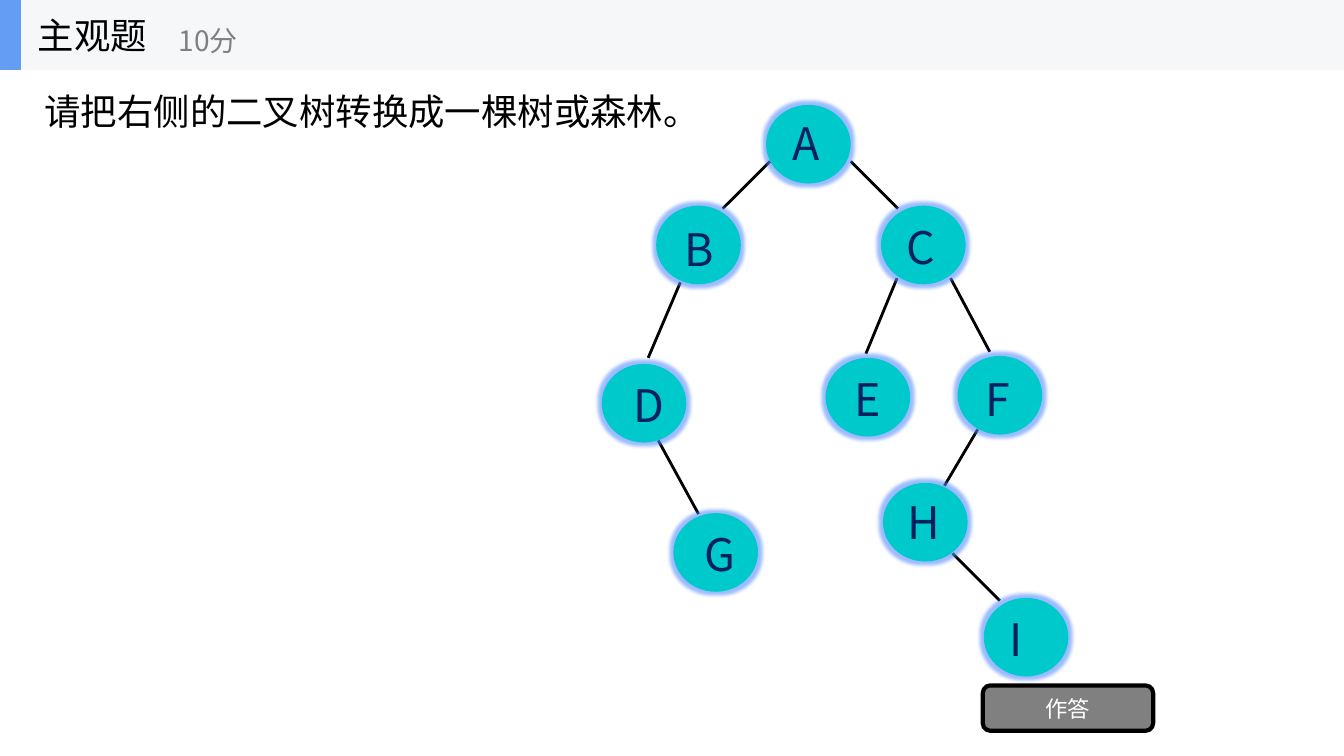
import pptx
import pptx.util
import pptx.dml.color
import pptx.enum.shapes
import pptx.enum.text
import pptx.oxml.ns
from lxml import etree

Pt = pptx.util.Pt
SHAPE = pptx.enum.shapes.MSO_SHAPE
ANCHOR = pptx.enum.text.MSO_ANCHOR
ALIGN = pptx.enum.text.PP_ALIGN
qn = pptx.oxml.ns.qn

FONT = "Noto Sans CJK SC"
QUESTION = "请把右侧的二叉树转换成一棵树或森林。"
HEADING = "主观题"
SCORE = "10分"
ANSWER = "作答"

NODE_W, NODE_H = 60.5, 56.2
NODES = {
    "A": ((547.2, 74.9), (11.5, 4.3)),
    "B": ((468.7, 146.9), (13, 7.9)),
    "C": ((629.3, 146.9), (11.5, 6.5)),
    "D": ((429.8, 259.9), (15.8, 6.5)),
    "E": ((589.7, 255.6), (13.7, 6.5)),
    "F": ((684, 254.2), (13, 7.9)),
    "G": ((481, 366.5), (15.1, 6.5)),
    "H": ((630.7, 344.9), (10.8, 5)),
    "I": ((702.7, 427), (11.5, 6.5)),
}
EDGES = [
    (550.1, 115.2, 516.2, 149),
    (607.7, 115.2, 641.5, 149),
    (486, 201.6, 463, 255.6),
    (640.8, 198.7, 618.5, 252.7),
    (679, 198.7, 707, 251.3),
    (470.2, 314.6, 499, 367.2),
    (698.4, 306.7, 674.6, 347),
    (680.4, 395.3, 714.2, 429.1),
]


def rgb(color):
    return pptx.dml.color.RGBColor.from_string(color)


def write(sp, text, size, color, anchor=ANCHOR.MIDDLE, align=ALIGN.LEFT):
    tf = sp.text_frame
    tf.word_wrap = True
    tf.auto_size = pptx.enum.text.MSO_AUTO_SIZE.NONE
    tf.vertical_anchor = anchor
    tf.text = text
    p = tf.paragraphs[0]
    p.alignment = align
    p.font.size = Pt(size)
    p.font.color.rgb = rgb(color)
    p.font.name = FONT
    latin = p._p.pPr.find(".//" + qn("a:latin"))
    ea = etree.Element(qn("a:ea"), typeface=FONT)
    latin.addnext(ea)


def add_text(box, *args, **kwargs):
    write(s.shapes.add_textbox(*map(Pt, box)), *args, **kwargs)


def add_shape(kind, box, fill):
    sp = s.shapes.add_shape(kind, *map(Pt, box))
    sp.shadow.inherit = False
    sp.fill.solid()
    sp.fill.fore_color.rgb = rgb(fill)
    sp.line.fill.background()
    return sp


def add_glow(sp, radius, color, alpha):
    effects = sp._element.spPr.find(qn("a:effectLst"))
    glow = etree.SubElement(effects, qn("a:glow"), rad=str(Pt(radius)))
    clr = etree.SubElement(glow, qn("a:srgbClr"), val=color)
    etree.SubElement(clr, qn("a:alpha"), val=str(alpha * 1000))


prs = pptx.Presentation()
prs.slide_width, prs.slide_height = Pt(960), Pt(540)
s = prs.slides.add_slide(prs.slide_layouts[5])

title = s.shapes.title
title.left, title.top, title.width, title.height = map(Pt, (24.5, 31, 768, 97))
write(title, QUESTION, 26, "000000")

button = add_shape(SHAPE.ROUNDED_RECTANGLE, (702, 489.6, 121.7, 32.4), "808080")
button.line.color.rgb = rgb("000000")
button.line.width = Pt(3)
write(button, ANSWER, 16, "FFFFFF", align=ALIGN.CENTER)

for edge in EDGES:
    line = s.shapes.add_connector(pptx.enum.shapes.MSO_CONNECTOR.STRAIGHT, *map(Pt, edge))
    line.line.color.rgb = rgb("000000")
    line.line.width = Pt(2)
    etree.SubElement(line._element.spPr, qn("a:effectLst"))

for name, ((x, y), (dx, dy)) in NODES.items():
    node = add_shape(SHAPE.OVAL, (x, y, NODE_W, NODE_H), "00C9CB")
    add_glow(node, 5, "5B8FFF", 60)
    add_text((x + dx, y + dy, 45, 46), name, 32, "002060", anchor=ANCHOR.TOP)

add_shape(SHAPE.RECTANGLE, (0, 0, 960, 50), "F6F7F8")
add_shape(SHAPE.RECTANGLE, (0, 0, 15, 50), "639EF4")
add_text((20, 0, 150, 50), HEADING, 26, "000000")
add_text((120.5, 8.6, 180, 40), SCORE, 20, "808080")

prs.save("out.pptx")
